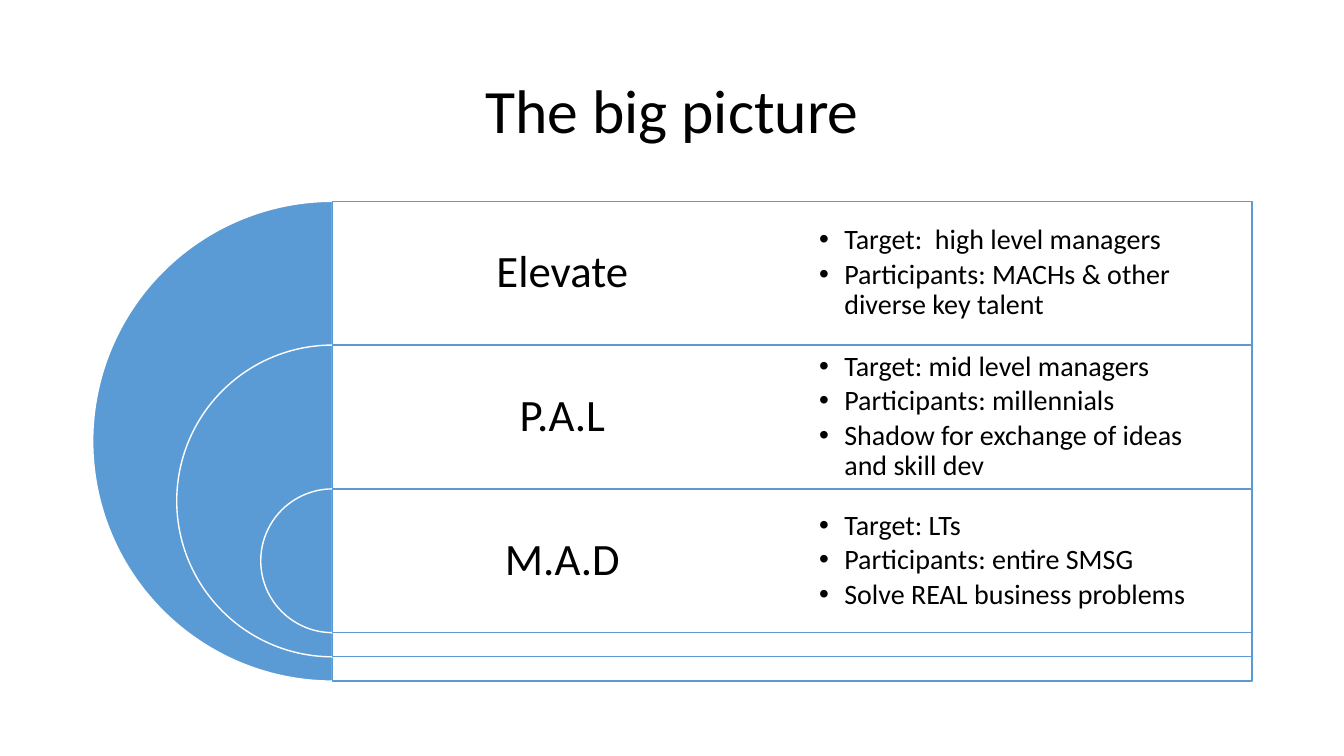
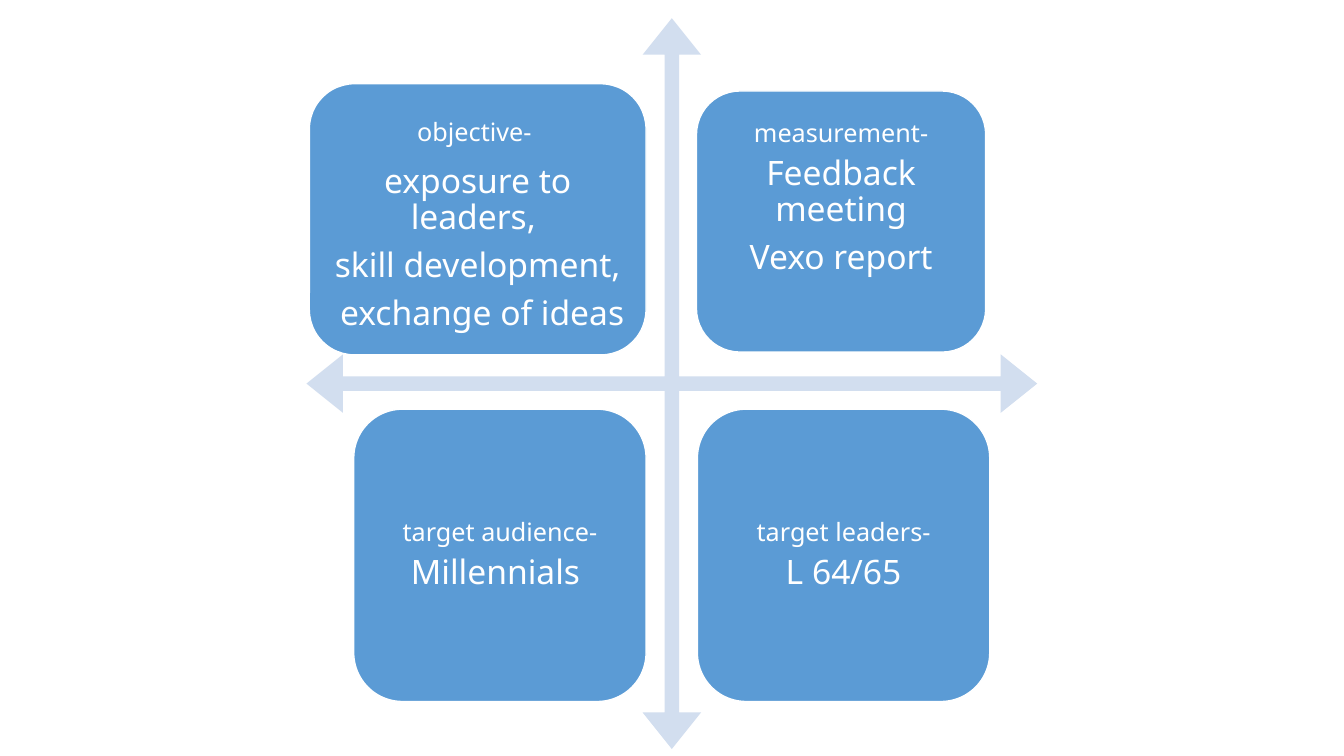
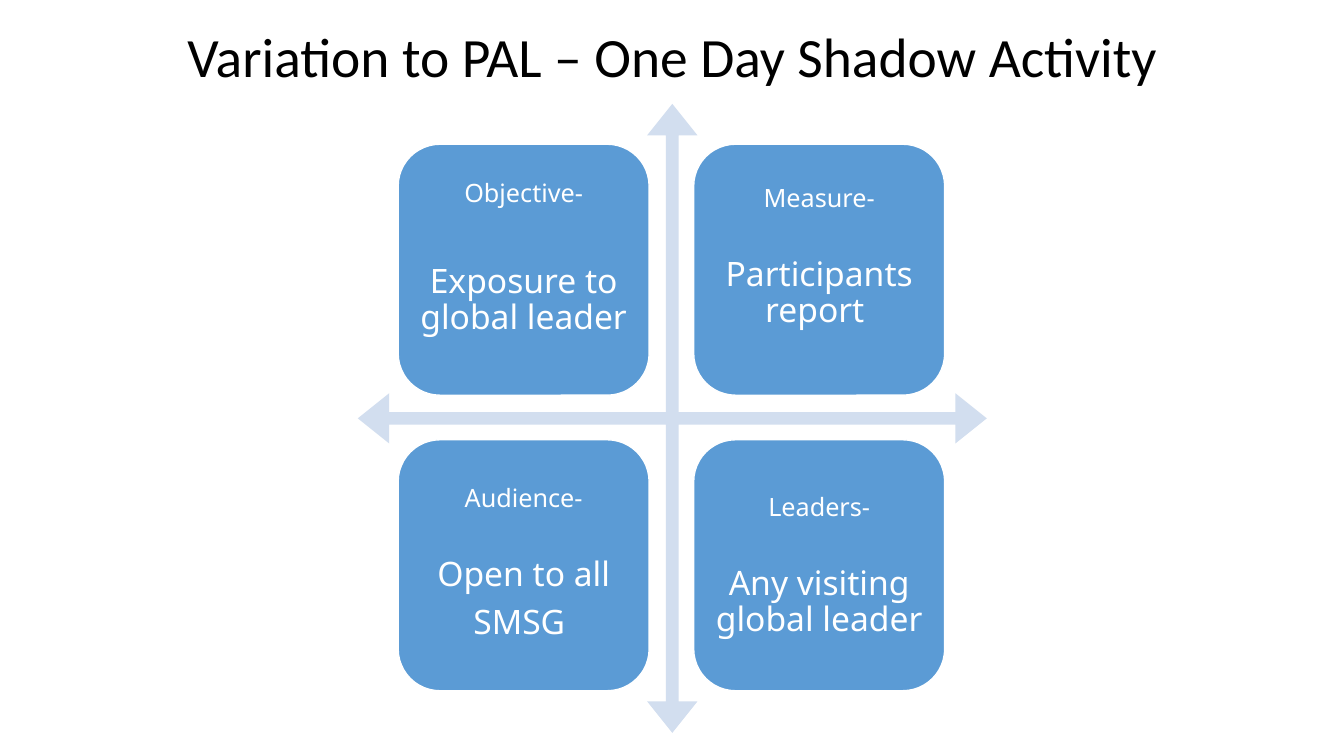
from dataclasses import dataclass

from lxml import etree
from pptx import Presentation
from pptx.dml.color import RGBColor
from pptx.enum.shapes import MSO_SHAPE
from pptx.enum.text import MSO_ANCHOR, MSO_AUTO_SIZE, PP_ALIGN
from pptx.oxml.ns import qn
from pptx.util import Pt

PIE, RECTANGLE = MSO_SHAPE.PIE, MSO_SHAPE.RECTANGLE
ROUNDED, QUAD_ARROW = MSO_SHAPE.ROUNDED_RECTANGLE, MSO_SHAPE.QUAD_ARROW
TOP, MIDDLE = MSO_ANCHOR.TOP, MSO_ANCHOR.MIDDLE
LEFT, CENTER = PP_ALIGN.LEFT, PP_ALIGN.CENTER
COMPARISON, TITLE_ONLY, BLANK = 4, 5, 6


@dataclass(frozen=True)
class Theme:
    """Colours, fonts and type sizes shared by the slides."""
    blue: RGBColor = RGBColor(0x5B, 0x9B, 0xD5)
    pale: RGBColor = RGBColor(0xD2, 0xDE, 0xEF)
    white: RGBColor = RGBColor(255, 255, 255)
    black: RGBColor = RGBColor(0, 0, 0)
    main_font: str = "Calibri"
    box_font: str = "Noto Sans"
    label: float = 32
    bullet: float = 20
    caption: float = 18
    statement: float = 24
    spacing: float = 0.9
    box_pitch: float = 1.07
    paragraph_gap: float = 0.35


THEME = Theme()

# Content
PROGRAMS = [
    ("Elevate", ["Target:  high level managers",
                 "Participants: MACHs & other diverse key talent"]),
    ("P.A.L", ["Target: mid level managers", "Participants: millennials",
               "Shadow for exchange of ideas and skill dev"]),
    ("M.A.D", ["Target: LTs", "Participants: entire SMSG",
               "Solve REAL business problems"]),
]

# Each box: bounds, top of its text, gap under its caption, caption, statements
PAL_ARROWS = (218.9, 13, 522)
PAL_BOXES = [
    ((221, 59.8, 240.5, 193.7), 85.3, 13, "objective- ",
     ["exposure to leaders, ", "skill development,", " exchange of ideas "]),
    ((497.5, 65, 206.6, 186.5), 86, 6.3, "measurement-",
     ["Feedback meeting", "Vexo report"]),
    ((252.7, 292.3, 208.8, 208.8), 371, 6.3, "target audience-", ["Millennials "]),
    ((498.2, 292.3, 208.8, 208.8), 371, 6.3, "target leaders-", ["L 64/65"]),
]

SHADOW_ARROWS = (255.6, 74.2, 449.3)
SHADOW_GRID = (284.4, 103, 179.3, 211.1)  # left, top, box size, step
SHADOW_BOXES = [
    (129, 40.4, "Objective-", ["Exposure to global leader"]),
    (132.5, 31.9, "Measure-", ["Participants report "]),
    (346.7, 31.9, "Audience-", ["Open to all", "SMSG "]),
    (353, 31.9, "Leaders-", ["Any visiting global leader "]),
]


def place(shape, left, top, width, height):
    """Move and size a shape, in points."""
    shape.left, shape.top = Pt(left), Pt(top)
    shape.width, shape.height = Pt(width), Pt(height)


def add_figure(slide, kind, bounds, fill, line=None, adjustments=()):
    """Add a flat preset shape."""
    shape = slide.shapes.add_shape(kind, *map(Pt, bounds))
    shape.shadow.inherit = False
    shape.fill.solid()
    shape.fill.fore_color.rgb = fill
    if line is None:
        shape.line.fill.background()
    else:
        shape.line.color.rgb = line
        shape.line.width = Pt(1)
    for index, value in enumerate(adjustments):
        shape.adjustments[index] = value
    return shape


def set_frame(frame, anchor, inset):
    """Set wrapping, anchor and equal insets of a text frame."""
    frame.word_wrap = True
    frame.auto_size = MSO_AUTO_SIZE.NONE
    frame.vertical_anchor = anchor
    frame.margin_left = frame.margin_right = Pt(inset)
    frame.margin_top = frame.margin_bottom = Pt(inset)


def style(paragraph, font, size, color, align=CENTER, spacing=THEME.spacing,
          before=0, after=0):
    """Format a whole paragraph."""
    paragraph.alignment = align
    paragraph.line_spacing = spacing
    paragraph.space_before, paragraph.space_after = Pt(before), Pt(after)
    paragraph.font.name, paragraph.font.size = font, Pt(size)
    paragraph.font.color.rgb = color
    paragraph.font.bold = False


def new_paragraph(frame, index):
    """Return the first paragraph, or a new one after it."""
    return frame.add_paragraph() if index else frame.paragraphs[0]


def set_title(slide, text, top, height, size):
    """Fill the title placeholder."""
    title = slide.shapes.title
    place(title, 66.2, top, 828, height)
    title.text_frame.text = text
    title.text_frame.auto_size = MSO_AUTO_SIZE.NONE
    title.text_frame.vertical_anchor = MIDDLE
    style(title.text_frame.paragraphs[0], THEME.main_font, size, THEME.black)


def fill_list(placeholder, bounds, items):
    """Turn a body placeholder into a bulleted list in front of the figures."""
    place(placeholder, *bounds)
    placeholder.element.getparent().append(placeholder.element)
    frame = placeholder.text_frame
    set_frame(frame, MIDDLE, 19.2)
    for index, item in enumerate(items):
        paragraph = new_paragraph(frame, index)
        paragraph.text = item
        properties = paragraph._p.get_or_add_pPr()
        properties.set("marL", str(Pt(18)))
        properties.set("indent", str(Pt(-18)))
        etree.SubElement(properties, qn("a:buChar")).set("char", "•")
        style(paragraph, THEME.main_font, THEME.bullet, THEME.black, LEFT,
              after=0.15 * THEME.bullet)


def build_big_picture(presentation):
    """Nested half discs, each with a label and a list."""
    slide = presentation.slides.add_slide(presentation.slide_layouts[COMPARISON])
    set_title(slide, "The big picture", 28.8, 104.4, 44)
    bodies = [shape for shape in slide.placeholders
              if shape.placeholder_format.idx != 0]
    for spare in bodies[len(PROGRAMS):]:
        spare.element.getparent().remove(spare.element)

    left, top, width, diameter = 237.6, 143.8, 656.6, 342.7
    row, shrink, column = 102.7, 120, width / 2
    for index, (name, items) in enumerate(PROGRAMS):
        row_top, size = top + index * row, diameter - index * shrink
        add_figure(slide, PIE, (left - size / 2, row_top, size, size),
                   THEME.blue, THEME.white, (54, 162))
        panel = add_figure(slide, RECTANGLE, (left, row_top, width, size),
                           THEME.white, THEME.blue)
        color = panel.element.spPr.find(qn("a:solidFill"))[0]
        etree.SubElement(color, qn("a:alpha")).set("val", "90000")
        label = slide.shapes.add_textbox(
            *map(Pt, (left, row_top, column, row))).text_frame
        set_frame(label, MIDDLE, 9.6)
        label.text = name
        style(label.paragraphs[0], THEME.main_font, THEME.label, THEME.black)
        fill_list(bodies[index], (left + column, row_top, column, row), items)


def add_box(slide, bounds, text_top, caption_gap, caption, statements):
    """Rounded box with a small caption above larger statements."""
    box = add_figure(slide, ROUNDED, bounds, THEME.blue, THEME.white)
    frame = box.text_frame
    set_frame(frame, TOP, 5)
    corner_inset = 0.29 * box.adjustments[0] * min(bounds[2:])
    frame.margin_top = Pt(text_top - bounds[1] - corner_inset)
    for index, text in enumerate([caption] + statements):
        paragraph = new_paragraph(frame, index)
        paragraph.text = text
        size = THEME.statement if index else THEME.caption
        gap = caption_gap if index == 1 else THEME.paragraph_gap * size
        style(paragraph, THEME.box_font, size, THEME.white,
              spacing=Pt(THEME.box_pitch * size), before=gap if index else 0)


def build_matrix(slide, arrows, boxes):
    """Four-way arrow with a box in each quarter."""
    left, top, size = arrows
    add_figure(slide, QUAD_ARROW, (left, top, size, size), THEME.pale,
               adjustments=(0.02, 0.04, 0.05))
    for box in boxes:
        add_box(slide, *box)


def grid_boxes():
    """Give the equal boxes their places in a two by two grid."""
    left, top, size, step = SHADOW_GRID
    return [((left + index % 2 * step, top + index // 2 * step, size, size), *box)
            for index, box in enumerate(SHADOW_BOXES)]


def main():
    """Build and save the three slides."""
    presentation = Presentation()
    presentation.slide_width, presentation.slide_height = Pt(960), Pt(540)
    layouts = presentation.slide_layouts
    build_big_picture(presentation)
    build_matrix(presentation.slides.add_slide(layouts[BLANK]),
                 PAL_ARROWS, PAL_BOXES)
    shadow = presentation.slides.add_slide(layouts[TITLE_ONLY])
    set_title(shadow, "Variation to PAL – One Day Shadow Activity",
              18.7, 47.5, 39.6)
    build_matrix(shadow, SHADOW_ARROWS, grid_boxes())
    presentation.save("out.pptx")


main()
